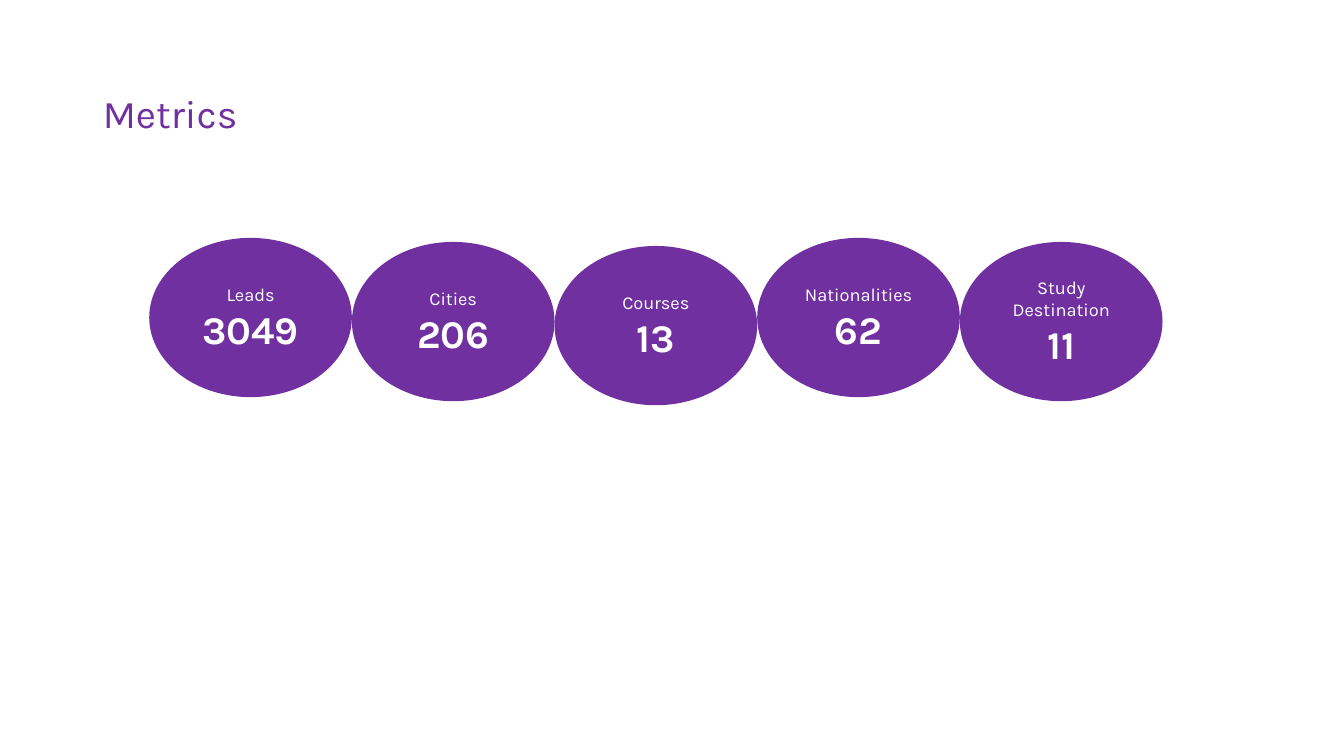
"""Build the Metrics slide: a title and a row of figures in ellipses."""
from pptx import Presentation
from pptx.dml.color import RGBColor
from pptx.enum.shapes import MSO_SHAPE
from pptx.enum.text import MSO_ANCHOR, PP_ALIGN
from pptx.util import Inches, Pt

TITLE = "Metrics"
METRICS = [
    ("Leads", "3049"),
    ("Cities", "206"),
    ("Courses", "13"),
    ("Nationalities", "62"),
    ("Study Destination", "11"),
]
FONT, PURPLE, WHITE = "Karla", "7030A0", "FFFFFF"
ROW_LEFT, ROW_TOP = 1.48, 2.36
WIDTH, HEIGHT = 2.01, 1.58
STEP, STEP_CYCLE = 0.04, 3


def color(value):
    return RGBColor.from_string(value)


def write(p, text, size=13, fill=WHITE, bold=False, align=PP_ALIGN.CENTER):
    p.alignment = align
    r = p.add_run()
    r.text = text
    r.font.name = FONT
    r.font.size = Pt(size)
    r.font.bold = bold
    r.font.color.rgb = color(fill)


def add_metric(slide, i, label, value):
    top = ROW_TOP + STEP * (i % STEP_CYCLE)
    sp = slide.shapes.add_shape(
        MSO_SHAPE.OVAL, Inches(ROW_LEFT + i * WIDTH), Inches(top),
        Inches(WIDTH), Inches(HEIGHT))
    sp.shadow.inherit = False
    sp.fill.solid()
    sp.fill.fore_color.rgb = color(PURPLE)
    sp.line.fill.background()
    tf = sp.text_frame
    tf.word_wrap = True
    tf.vertical_anchor = MSO_ANCHOR.MIDDLE
    write(tf.paragraphs[0], label)
    write(tf.add_paragraph(), value, size=28, bold=True)


def main():
    prs = Presentation()
    prs.slide_width, prs.slide_height = Inches(13.33), Inches(7.5)
    slide = prs.slides.add_slide(prs.slide_layouts[5])
    title = slide.shapes.title
    title.left, title.top = Inches(0.92), Inches(0.42)
    title.width, title.height = Inches(11.5), Inches(1.45)
    tf = title.text_frame
    tf.vertical_anchor = MSO_ANCHOR.MIDDLE
    p = tf.paragraphs[0]
    p.line_spacing = 0.9
    write(p, TITLE, size=28, fill=PURPLE, align=PP_ALIGN.LEFT)
    for i, (label, value) in enumerate(METRICS):
        add_metric(slide, i, label, value)
    prs.save("out.pptx")


if __name__ == "__main__":
    main()
